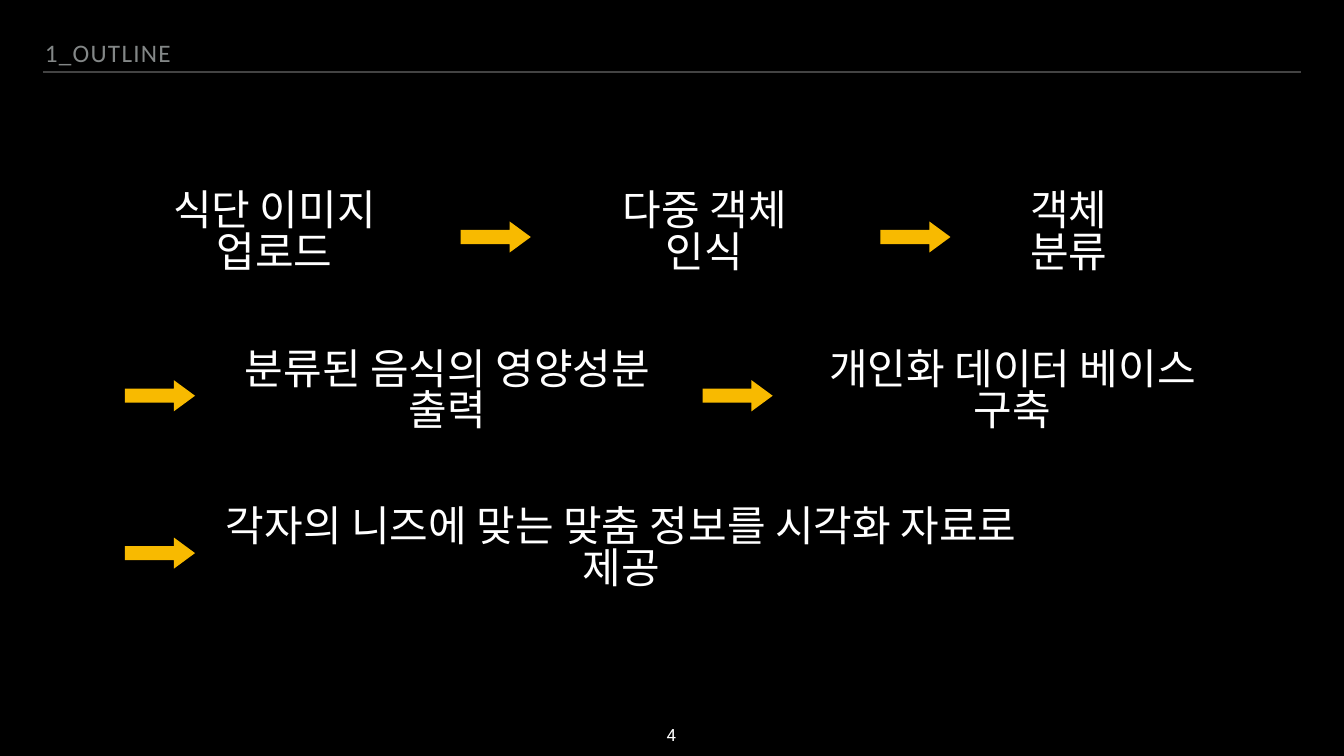
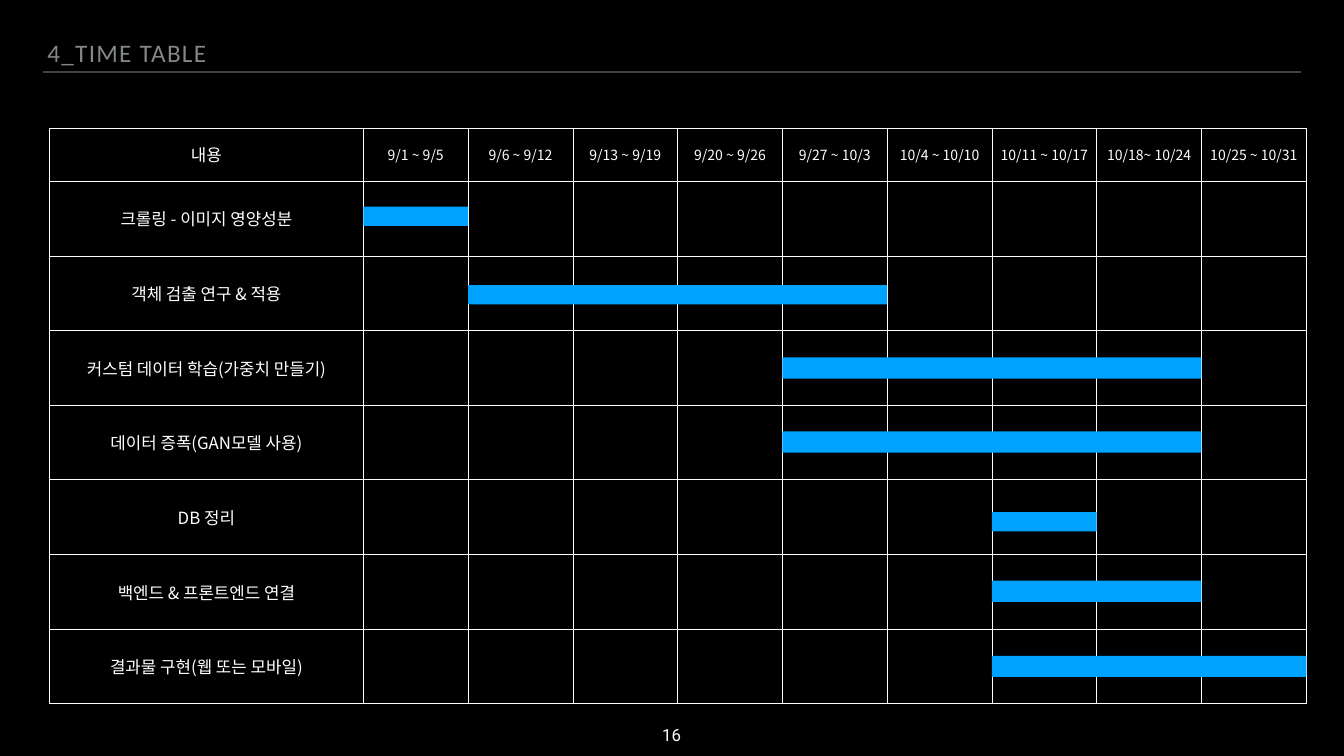
import lxml.etree
import pptx
import pptx.dml.color
import pptx.enum.shapes
import pptx.enum.text
import pptx.oxml.ns
import pptx.util

Cm = pptx.util.Cm
Pt = pptx.util.Pt
RGBColor = pptx.dml.color.RGBColor
MSO_SHAPE = pptx.enum.shapes.MSO_SHAPE
MSO_ANCHOR = pptx.enum.text.MSO_ANCHOR
PP_ALIGN = pptx.enum.text.PP_ALIGN
qn = pptx.oxml.ns.qn

BLACK = RGBColor(0x00, 0x00, 0x00)
WHITE = RGBColor(0xFF, 0xFF, 0xFF)
GREY = RGBColor(0x83, 0x87, 0x87)
RULE_GREY = RGBColor(0x43, 0x43, 0x43)
AMBER = RGBColor(0xF8, 0xBA, 0x00)
BLUE = RGBColor(0x00, 0xA2, 0xFF)

TITLE_FONT = "Calibri"
BODY_FONT = "Noto Sans CJK KR"
NUMBER_FONT = "Roboto"

FLOW_ROWS = [
    (10.36, [23.22, 44.37], [
        (6.4, 14.86, "식단 이미지 업로드"),
        (29.67, 11.68, "다중 객체 인식"),
        (50.01, 7.7, "객체 분류"),
    ]),
    (18.36, [6.3, 35.41], [
        (11.35, 22.4, "분류된 음식의 영양성분 출력"),
        (40.59, 20.85, "개인화 데이터 베이스 구축"),
    ]),
    (26.29, [6.3], [
        (11.1, 40.41, "각자의 니즈에 맞는 맞춤 정보를 시각화 자료로 제공"),
    ]),
]

WEEKS = [
    "9/1 ~ 9/5", "9/6 ~ 9/12", "9/13 ~ 9/19", "9/20 ~ 9/26", "9/27 ~ 10/3",
    "10/4 ~ 10/10", "10/11 ~ 10/17", "10/18~ 10/24", "10/25 ~ 10/31",
]
TASKS = [
    ("크롤링 - 이미지 영양성분", 0, 1, 1.27, 0.97),
    ("객체 검출 연구 & 적용", 1, 4, 1.47, 0.97),
    ("커스텀 데이터 학습(가중치 만들기)", 4, 4, 1.35, 1.07),
    ("데이터 증폭(GAN모델 사용)", 4, 4, 1.32, 1.07),
    ("DB 정리", 6, 1, 1.63, 0.97),
    ("백엔드 & 프론트엔드 연결", 6, 2, 1.32, 1.07),
    ("결과물 구현(웹 또는 모바일)", 6, 3, 1.35, 1.07),
]
TABLE_LEFT, TABLE_TOP = 2.49, 6.45
TASK_WIDTH, WEEK_WIDTH = 15.82, 5.28
HEADER_HEIGHT, TASK_HEIGHT = 2.69, 3.76


class Deck:
    def __init__(self):
        self.deck = pptx.Presentation()
        self.deck.slide_width = Cm(67.73)
        self.deck.slide_height = Cm(38.1)
        self.page = None

    def start_page(self, title, title_left, title_height, number, number_left, number_width):
        self.page = self.deck.slides.add_slide(self.deck.slide_layouts[6])
        background = self.page.background.fill
        background.solid()
        background.fore_color.rgb = BLACK
        self.text(title, title_left, 3.53 - title_height, 58.22, title_height, 36, TITLE_FONT,
                  GREY, anchor=MSO_ANCHOR.BOTTOM, line_spacing=0.8, letter_spacing=1.8)
        self.rule(2.16, 65.58, 3.63)
        self.text(number, number_left, 36.35, number_width, 1.3, 24, NUMBER_FONT, wrap=False)

    def style(self, para, size, font_name, color, letter_spacing=0):
        para.font.size = Pt(size)
        para.font.name = font_name
        para.font.color.rgb = color
        properties = para._p.pPr.find(qn("a:defRPr"))
        lxml.etree.SubElement(properties, qn("a:ea"), typeface=font_name)
        if letter_spacing:
            properties.set("spc", str(round(letter_spacing * 100)))

    def text(self, words, left, top, width, height, size, font_name, color=WHITE, wrap=True,
             anchor=MSO_ANCHOR.TOP, align=PP_ALIGN.LEFT, line_spacing=None, letter_spacing=0):
        box = self.page.shapes.add_textbox(Cm(left), Cm(top), Cm(width), Cm(height))
        frame = box.text_frame
        frame.word_wrap = wrap
        frame.auto_size = pptx.enum.text.MSO_AUTO_SIZE.SHAPE_TO_FIT_TEXT
        frame.vertical_anchor = anchor
        frame.margin_left = frame.margin_right = Cm(0.15)
        frame.margin_top = frame.margin_bottom = Cm(0.15)
        para = frame.paragraphs[0]
        para.text = words
        para.alignment = align
        para.line_spacing = line_spacing
        self.style(para, size, font_name, color, letter_spacing)

    def rule(self, left, right, top):
        line = self.page.shapes.add_connector(
            pptx.enum.shapes.MSO_CONNECTOR.STRAIGHT, Cm(left), Cm(top), Cm(right), Cm(top))
        line.line.color.rgb = RULE_GREY
        line.line.width = Pt(2)
        lxml.etree.SubElement(line._element.spPr, qn("a:effectLst"))

    def shape(self, kind, left, top, width, height, color):
        shape = self.page.shapes.add_shape(kind, Cm(left), Cm(top), Cm(width), Cm(height))
        shape.shadow.inherit = False
        shape.fill.solid()
        shape.fill.fore_color.rgb = color
        shape.line.fill.background()
        return shape

    def arrow(self, left, top):
        arrow = self.shape(MSO_SHAPE.RIGHT_ARROW, left, top, 3.53, 1.57, AMBER)
        arrow.adjustments[0] = 0.45
        arrow.adjustments[1] = 0.68

    def cell(self, cell, words, size):
        properties = cell._tc.get_or_add_tcPr()
        for side in ("a:lnL", "a:lnR", "a:lnT", "a:lnB"):
            border = lxml.etree.SubElement(properties, qn(side), w=str(Pt(1)))
            fill = lxml.etree.SubElement(border, qn("a:solidFill"))
            lxml.etree.SubElement(fill, qn("a:srgbClr"), val=str(WHITE))
        cell.fill.background()
        cell.vertical_anchor = MSO_ANCHOR.MIDDLE
        cell.margin_left = cell.margin_right = Cm(0.13)
        para = cell.text_frame.paragraphs[0]
        para.text = words
        para.alignment = PP_ALIGN.CENTER
        self.style(para, size, BODY_FONT, WHITE)

    def table(self, rows, widths, heights):
        frame = self.page.shapes.add_table(
            len(rows), len(widths), Cm(TABLE_LEFT), Cm(TABLE_TOP),
            Cm(sum(widths)), Cm(sum(heights)))
        table = frame.table
        table.first_row = False
        table.horz_banding = False
        for column, width in zip(table.columns, widths):
            column.width = Cm(width)
        for row, height, texts in zip(table.rows, heights, rows):
            row.height = Cm(height)
            for index, (cell, words) in enumerate(zip(row.cells, texts)):
                self.cell(cell, words, 20 if index else 24)


def add_outline(deck):
    deck.start_page("1_OUTLINE", 2.11, 2.06, "4", 33.45, 0.99)
    for top, arrows, steps in FLOW_ROWS:
        for left, width, words in steps:
            deck.text(words, left, top, width, 2.84, 60, BODY_FONT, anchor=MSO_ANCHOR.MIDDLE,
                      align=PP_ALIGN.CENTER, line_spacing=0.83)
        for left in arrows:
            deck.arrow(left, top + 0.8)


def add_time_table(deck):
    deck.start_page("4_TIME TABLE", 2.24, 1.52, "16", 33.22, 1.27)
    rows = [["내용"] + WEEKS] + [[task[0]] + [""] * len(WEEKS) for task in TASKS]
    deck.table(rows, [TASK_WIDTH] + [WEEK_WIDTH] * len(WEEKS),
               [HEADER_HEIGHT] + [TASK_HEIGHT] * len(TASKS))
    for index, (_, first_week, weeks, offset, thickness) in enumerate(TASKS):
        left = TABLE_LEFT + TASK_WIDTH + first_week * WEEK_WIDTH
        top = TABLE_TOP + HEADER_HEIGHT + index * TASK_HEIGHT + offset
        deck.shape(MSO_SHAPE.RECTANGLE, left, top, weeks * WEEK_WIDTH, thickness, BLUE)


def main():
    deck = Deck()
    add_outline(deck)
    add_time_table(deck)
    deck.deck.save("out.pptx")


if __name__ == "__main__":
    main()
